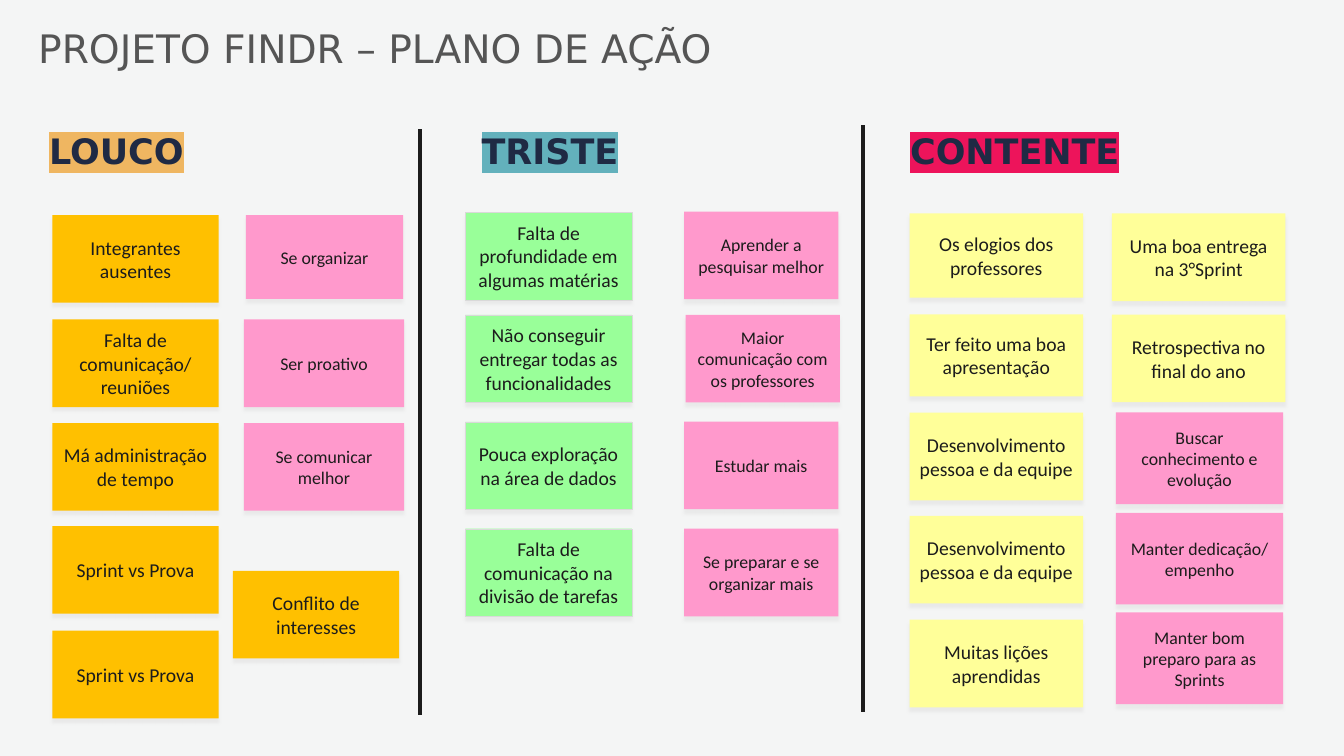
from lxml import etree
from pptx import Presentation
from pptx.dml.color import RGBColor
from pptx.enum.shapes import MSO_CONNECTOR, MSO_SHAPE
from pptx.enum.text import MSO_ANCHOR, PP_ALIGN
from pptx.oxml.ns import qn
from pptx.util import Pt

RECTANGLE = MSO_SHAPE.RECTANGLE
STRAIGHT = MSO_CONNECTOR.STRAIGHT
TOP, MIDDLE = MSO_ANCHOR.TOP, MSO_ANCHOR.MIDDLE
CENTER = PP_ALIGN.CENTER

BACKGROUND, INK = "F4F5F5", "1C1C1C"
ORANGE, PINK, GREEN, YELLOW = "FFC000", "FF99CC", "99FF99", "FFFF99"
EDGE = "D9D9D9"
NOTE_HEIGHT = 62.6

TITLE = "PROJETO FINDR – PLANO DE AÇÃO"
# text, left, width, highlight
HEADINGS = [
    ("LOUCO", 28, 288.7, "EFB661"),
    ("TRISTE", 337, 288, "63B1BC"),
    ("CONTENTE", 643, 290, "ED145B"),
]
# x, top, bottom
DIVIDERS = [(300.2, 92.2, 510.5), (616.3, 89.3, 508.3)]

# fill, left, width, height, [(top, text)]
NOTE_COLUMNS = [
    (ORANGE, 37.4, 118.8, NOTE_HEIGHT, [
        (153.7, "Integrantes ausentes"),
        (228.2, "Falta de comunicação/\nreuniões"),
        (302.2, "Má administração de tempo"),
        (375.8, "Sprint vs Prova"),
        (450.5, "Sprint vs Prova"),
    ]),
    (PINK, 175.7, 112.3, 59.8, [(153.7, "Se organizar")]),
    (PINK, 174.2, 114.5, NOTE_HEIGHT, [
        (228.2, "Ser proativo"),
        (302.2, "Se comunicar melhor"),
    ]),
    (ORANGE, 166.4, 118.8, NOTE_HEIGHT, [(407.8, "Conflito de interesses")]),
    (GREEN, 332.4, 119, NOTE_HEIGHT, [
        (151.6, "Falta de profundidade em algumas matérias"),
        (224.9, "Não conseguir entregar todas as funcionalidades"),
        (301.3, "Pouca exploração na área de dados"),
        (377.7, "Falta de comunicação na divisão de tarefas"),
    ]),
    (PINK, 488.7, 110.2, NOTE_HEIGHT, [
        (151.2, "Aprender a pesquisar melhor"),
        (301.2, "Estudar mais"),
        (377.7, "Se preparar e se organizar mais"),
    ]),
    (PINK, 489.7, 110.2, NOTE_HEIGHT, [
        (224.9, "Maior comunicação com os professores"),
    ]),
    (YELLOW, 649.7, 124, 60.2, [(152.5, "Os elogios dos professores")]),
    (YELLOW, 649.7, 124, 58.6, [(224.5, "Ter feito uma boa apresentação")]),
    (YELLOW, 649.7, 124, NOTE_HEIGHT, [
        (294.8, "Desenvolvimento pessoa e da equipe"),
        (368.5, "Desenvolvimento pessoa e da equipe"),
        (442.7, "Muitas lições aprendidas"),
    ]),
    (YELLOW, 794.2, 124, NOTE_HEIGHT, [
        (152.5, "Uma boa entrega na 3°Sprint"),
        (224.8, "Retrospectiva no final do ano"),
    ]),
    (PINK, 797.1, 119.5, 65.5, [
        (294.6, "Buscar conhecimento e evolução"),
        (366.3, "Manter dedicação/\nempenho"),
        (437.5, "Manter bom preparo para as Sprints"),
    ]),
]

NOTE_FORMAT = {"alignment": CENTER}
TITLE_FORMAT = {"space_after": Pt(6)}
HEADING_FORMAT = {"line_spacing": 0.9, "space_before": Pt(10)}


def color(hex_value):
    return RGBColor.from_string(hex_value)


def write(shape, text, font_format, hex_value, paragraph_format, anchor):
    frame = shape.text_frame
    frame.word_wrap = True
    frame.vertical_anchor = anchor
    frame.text = text
    for paragraph in frame.paragraphs:
        for name, value in paragraph_format.items():
            setattr(paragraph, name, value)
        for run in paragraph.runs:
            for name, value in font_format.items():
                setattr(run.font, name, value)
            run.font.color.rgb = color(hex_value)


def highlight(run, hex_value):
    mark = etree.Element(qn("a:highlight"))
    etree.SubElement(mark, qn("a:srgbClr"), val=hex_value)
    run.font.fill  # the text colour must come before the highlight
    run.font._element.find(qn("a:solidFill")).addnext(mark)


def add_soft_shadow(shape):
    shape.shadow.inherit = False
    effects = shape._element.spPr.find(qn("a:effectLst"))
    shadow = etree.SubElement(
        effects, qn("a:outerShdw"), blurRad=str(Pt(2)), dist=str(Pt(3)),
        dir="5400000", algn="t", rotWithShape="0")
    tint = etree.SubElement(shadow, qn("a:srgbClr"), val=EDGE)
    etree.SubElement(tint, qn("a:alpha"), val="40000")


def add_text(slide, box, text, font_format, hex_value, paragraph_format):
    shape = slide.shapes.add_textbox(*map(Pt, box))
    write(shape, text, font_format, hex_value, paragraph_format, TOP)
    return shape


def add_note(slide, box, text, fill):
    shape = slide.shapes.add_shape(RECTANGLE, *map(Pt, box))
    shape.fill.solid()
    shape.fill.fore_color.rgb = color(fill)
    if fill == GREEN:
        shape.line.color.rgb = color(EDGE)
        shape.line.width = Pt(0.25)
    else:
        shape.line.fill.background()
    add_soft_shadow(shape)
    font_format = {"name": "Calibri", "size": Pt(12.7 if fill == PINK else 14)}
    write(shape, text, font_format, INK, NOTE_FORMAT, MIDDLE)


def add_divider(slide, x, top, bottom):
    line = slide.shapes.add_connector(STRAIGHT, Pt(x), Pt(top), Pt(x), Pt(bottom))
    line.line.color.rgb = color(INK)
    line.line.width = Pt(3)
    etree.SubElement(line._element.spPr, qn("a:effectLst"))


def main():
    presentation = Presentation()
    presentation.slide_width, presentation.slide_height = Pt(960), Pt(540)
    slide = presentation.slides.add_slide(presentation.slide_layouts[6])
    slide.background.fill.solid()
    slide.background.fill.fore_color.rgb = color(BACKGROUND)

    add_text(slide, (20.2, 13.7, 774, 89.3), TITLE,
             {"name": "DejaVu Sans", "size": Pt(28)}, "555555", TITLE_FORMAT)
    for text, left, width, mark in HEADINGS:
        heading = add_text(slide, (left, 92.2, width, 43.2), text,
                           {"name": "DejaVu Sans", "size": Pt(25), "bold": True},
                           "1F2A44", HEADING_FORMAT)
        highlight(heading.text_frame.paragraphs[0].runs[0], mark)
    for divider in DIVIDERS:
        add_divider(slide, *divider)
    for fill, left, width, height, notes in NOTE_COLUMNS:
        for top, text in notes:
            add_note(slide, (left, top, width, height), text, fill)

    presentation.save("out.pptx")


if __name__ == "__main__":
    main()
